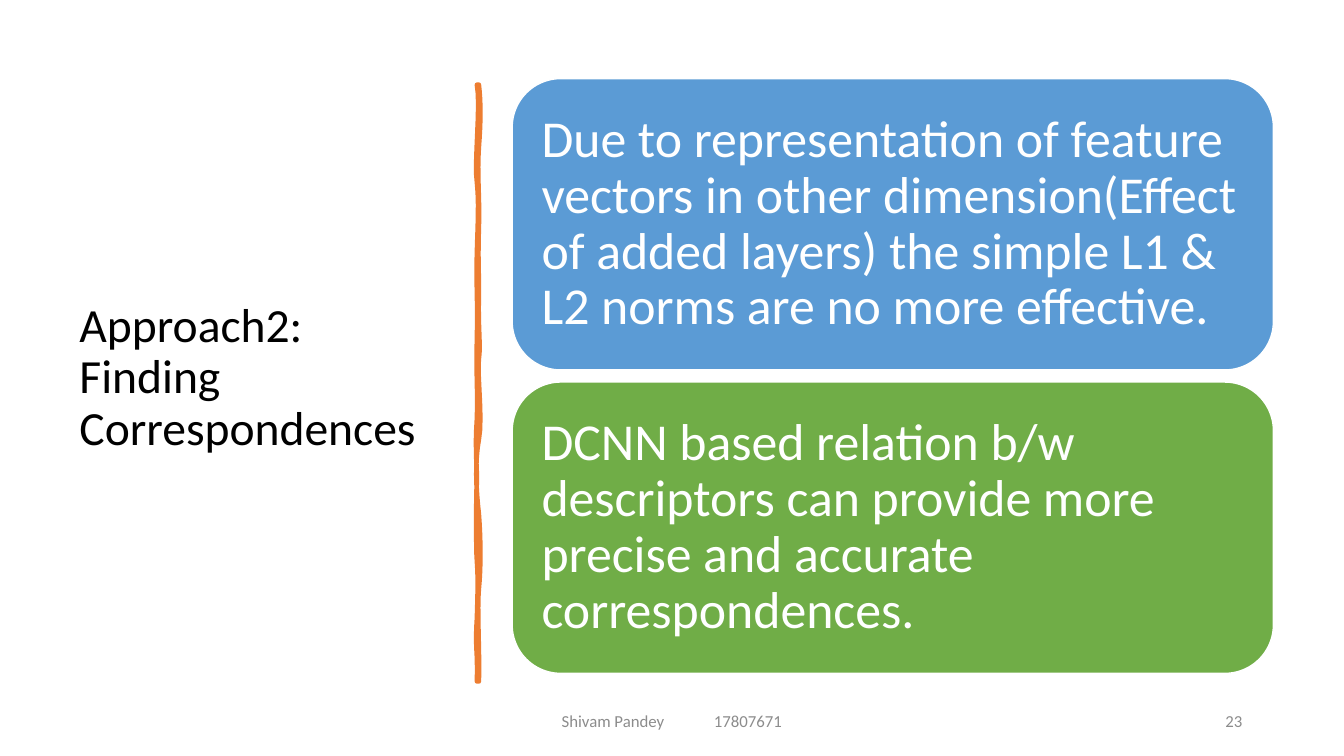
from lxml import etree
from pptx import Presentation
from pptx.dml.color import RGBColor as RGB
from pptx.enum.shapes import MSO_SHAPE as SHAPE
from pptx.enum.text import MSO_ANCHOR as ANCHOR, PP_ALIGN as ALIGN
from pptx.oxml.ns import qn
from pptx.util import Inches, Pt

COLORS = {
    "black": "000000", "white": "FFFFFF", "gray": "8C8C8C",
    "orange": "ED7D31", "blue": "5B9BD5", "green": "70AD47",
}
CARDS = [
    ("blue", "Due to representation of feature vectors in other dimension"
             "(Effect of added layers) the simple L1 & L2 norms are no more "
             "effective."),
    ("green", "DCNN based relation b/w descriptors can provide more precise "
              "and accurate correspondences."),
]
TOP, END = 0.84, 6.76
RIGHT, LEFT = 4.75, 4.73
# Each curve: first control x, y, second control x, y, end y
DOWN = [
    (4.77, 1.02, 4.77, 1.19, 1.46), (4.73, 1.73, 4.76, 1.95, 2.26),
    (4.74, 2.57, 4.75, 2.62, 2.94), (4.74, 3.25, 4.77, 3.42, 3.56),
    (4.73, 3.7, 4.79, 4.14, 4.36), (4.71, 4.57, 4.72, 4.84, 5.1),
    (4.77, 5.36, 4.77, 5.64, 5.84), (4.73, 6.03, 4.76, 6.5, END),
]
UP = [
    (4.74, 6.46, 4.71, 6.44, 6.13), (4.74, 5.83, 4.74, 5.7, 5.57),
    (4.72, 5.44, 4.72, 4.95, 4.77), (4.73, 4.59, 4.71, 4.45, 4.15),
    (4.74, 3.86, 4.72, 3.73, 3.35), (4.74, 2.98, 4.72, 2.81, 2.5),
    (4.74, 2.18, 4.75, 2, 1.81), (4.7, 1.63, 4.77, 1.04, TOP),
]


def trace(x, y, curves, steps=8):
    """Points along a chain of Bezier curves whose ends share one x."""
    points = [(x, y)]
    for ax, ay, bx, by, end in curves:
        for i in range(1, steps + 1):
            t = i / steps
            u = 1 - t
            w = (u ** 3, 3 * u * u * t, 3 * u * t * t, t ** 3)
            points.append((
                w[0] * x + w[1] * ax + w[2] * bx + w[3] * x,
                w[0] * y + w[1] * ay + w[2] * by + w[3] * end))
        y = end
    return points


class Deck:
    def __init__(self, font):
        self.font = font
        self.prs = Presentation()
        self.prs.slide_width = Inches(13.33)
        self.prs.slide_height = Inches(7.5)
        self.slide = self.prs.slides.add_slide(self.prs.slide_layouts[6])

    def color(self, name):
        return RGB.from_string(COLORS[name])

    def paint(self, shape, fill, line, width):
        shape.shadow.inherit = False
        shape.fill.solid()
        shape.fill.fore_color.rgb = self.color(fill)
        shape.line.color.rgb = self.color(line)
        shape.line.width = Pt(width)

    def label(self, shape, text, size, color, align=ALIGN.LEFT, lead=1.0):
        frame = shape.text_frame
        frame.word_wrap = True
        frame.vertical_anchor = ANCHOR.MIDDLE
        par = frame.paragraphs[0]
        par.text = text
        par.alignment = align
        par.line_spacing = lead
        par.font.name = self.font
        par.font.size = Pt(size)
        par.font.color.rgb = self.color(color)
        return frame

    def text(self, box, text, size, color, tab=None, **style):
        shape = self.slide.shapes.add_textbox(*map(Inches, box))
        if tab:
            props = shape.text_frame.paragraphs[0]._p.get_or_add_pPr()
            stops = etree.SubElement(props, qn("a:tabLst"))
            etree.SubElement(stops, qn("a:tab"), pos=str(Inches(tab)), algn="l")
        return self.label(shape, text, size, color, **style)

    def card(self, box, fill, text):
        shape = self.slide.shapes.add_shape(
            SHAPE.ROUNDED_RECTANGLE, *map(Inches, box))
        self.paint(shape, fill, "white", 1)
        frame = self.label(shape, text, 37, "white", lead=0.9)
        frame.margin_left = frame.margin_right = Inches(0.15)
        frame.margin_top = frame.margin_bottom = Inches(0.15)

    def stroke(self, points, color, width):
        """Closed hand-drawn outline."""
        pen = self.slide.shapes.build_freeform(
            *map(Inches, points[0]), scale=1.0)
        pen.add_line_segments(
            [(Inches(x), Inches(y)) for x, y in points[1:]], close=True)
        self.paint(pen.convert_to_shape(), color, color, width)


def main():
    deck = Deck("Calibri")
    deck.text((0.69, 0.7, 3.74, 6.11), "Approach2: Finding Correspondences",
              34, "black", lead=0.9)
    deck.stroke(trace(RIGHT, TOP, DOWN) + trace(LEFT, END, UP), "orange", 3.25)
    for i, (fill, text) in enumerate(CARDS):
        deck.card((5.08, 0.78 + i * 3.01, 7.55, 2.89), fill, text)
    deck.text((9.42, 6.95, 3, 0.4), "23", 12, "gray", align=ALIGN.RIGHT)
    foot = deck.text((4.42, 6.95, 4.5, 0.4), "Shivam Pandey\t17807671",
                     12, "gray", tab=1.51)
    foot.margin_left = Inches(1.15)
    deck.prs.save("out.pptx")


if __name__ == "__main__":
    main()
